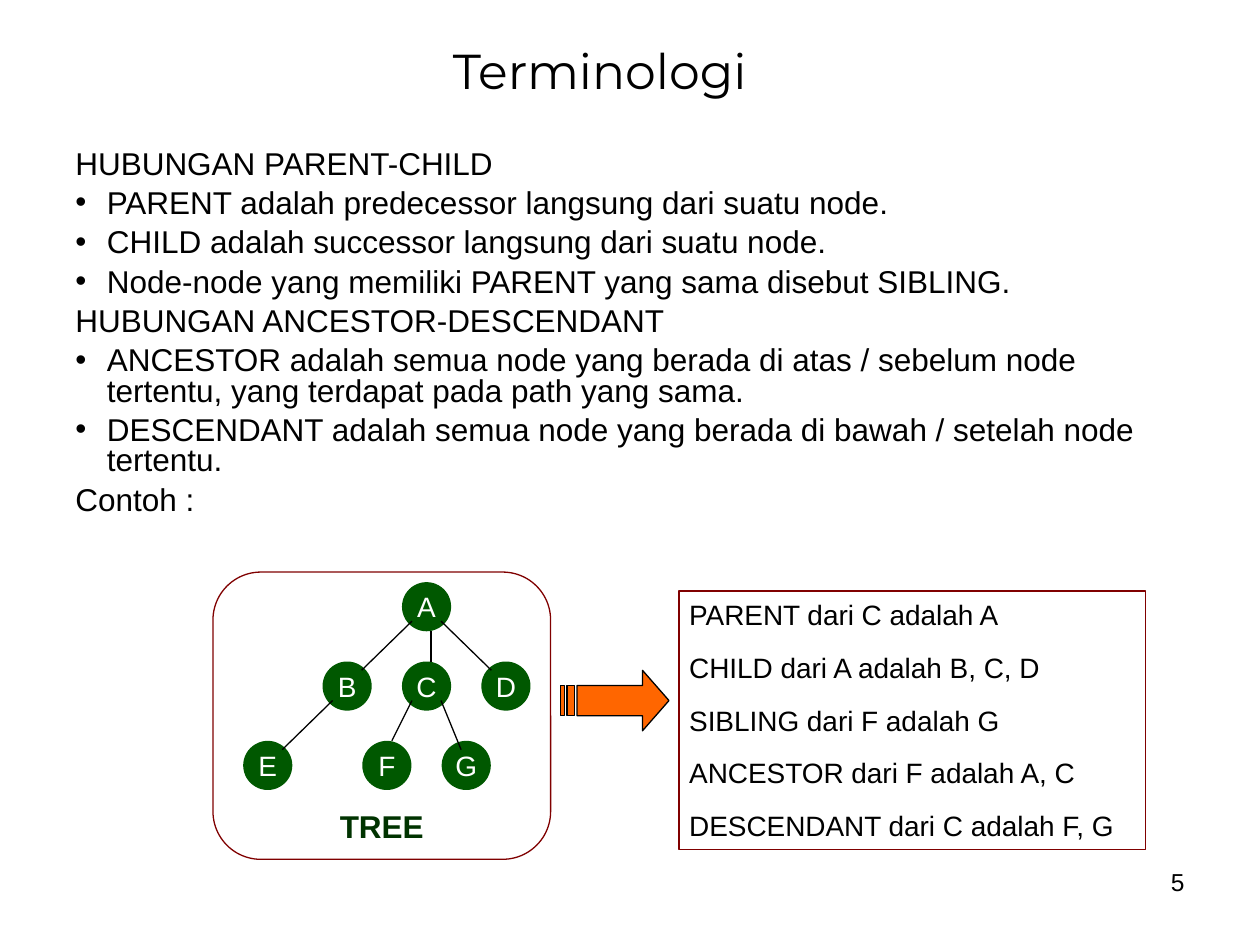
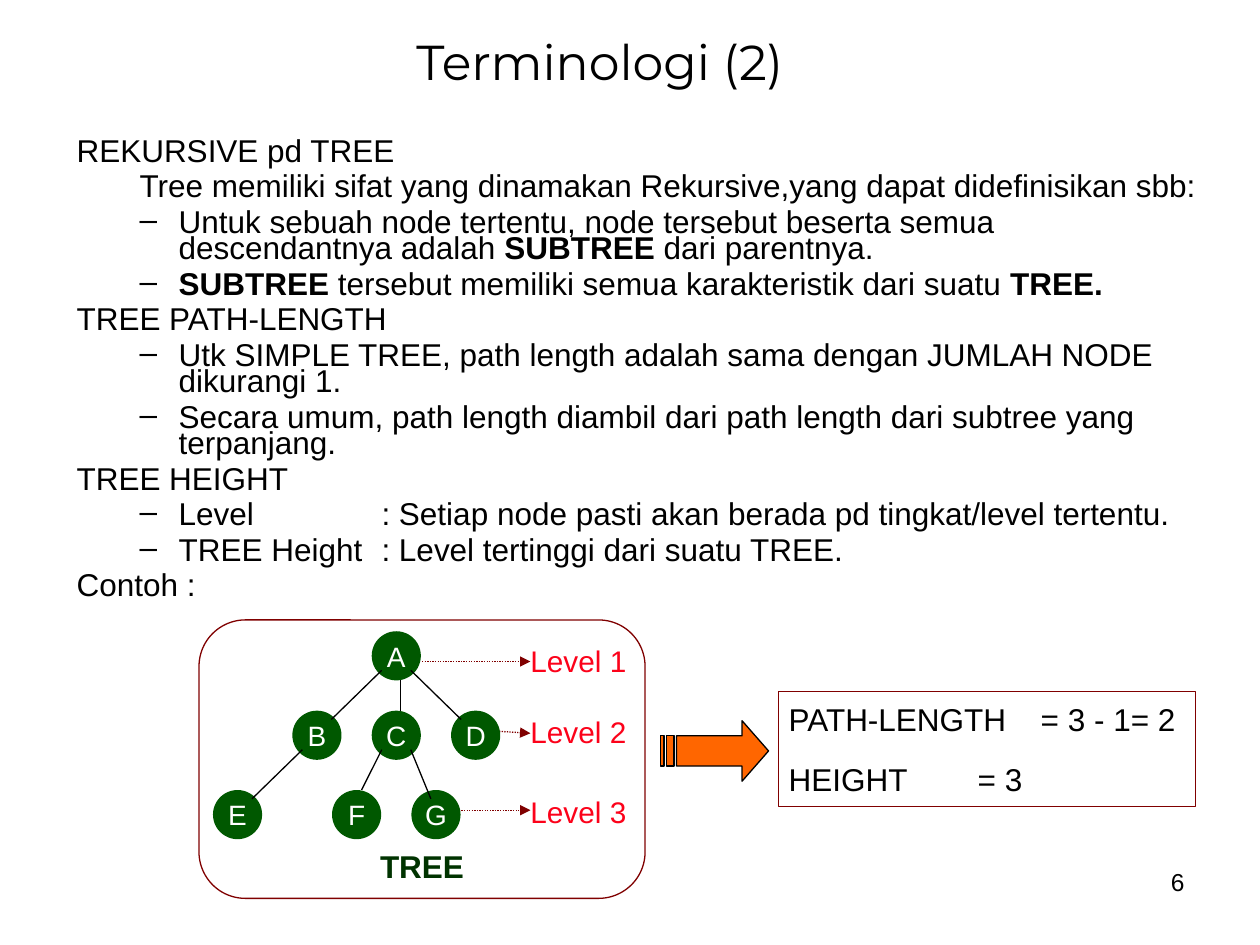
from dataclasses import dataclass
from lxml.etree import SubElement
from pptx import Presentation
from pptx.dml.color import RGBColor
from pptx.enum.dml import MSO_LINE
from pptx.enum.shapes import MSO_CONNECTOR, MSO_SHAPE
from pptx.enum.text import MSO_ANCHOR, PP_ALIGN
from pptx.oxml.ns import qn
from pptx.util import Emu, Inches, Pt


@dataclass(frozen=True)
class Theme:
    ink: str = "000000"
    white: str = "FFFFFF"
    node: str = "005800"
    tree: str = "003300"
    frame: str = "800000"
    arrow: str = "FF6600"
    level: str = "FC021A"
    font: str = "Arial"
    head: str = "Montserrat"
    title: int = 28
    body: int = 18
    label: int = 17
    small: int = 16
    page: int = 14
    rule: float = 0.75


look = Theme()
deck = Presentation()
deck.slide_width, deck.slide_height = Inches(10), Inches(7.5)
CELL = deck.slide_width / 100  # grid of 100 columns by 75 rows


def write(shape, lines, size=look.body, color=look.ink, font=look.font, bold=False,
          align=PP_ALIGN.LEFT, anchor=MSO_ANCHOR.MIDDLE, pad=(1, 0.5), wrap=True,
          lead=None, gap=0, kinds=None):
    """Fill a shape with lines; *stars* set bold, (kind, text) picks an indent."""
    frame = shape.text_frame
    frame.word_wrap, frame.vertical_anchor = wrap, anchor
    frame.margin_left = frame.margin_right = Emu(int(pad[0] * CELL))
    frame.margin_top = frame.margin_bottom = Emu(int(pad[1] * CELL))
    for i, line in enumerate(lines):
        para = frame.paragraphs[0] if i == 0 else frame.add_paragraph()
        para.alignment = align
        para.space_before = Pt(gap if i else 0)
        if lead:
            para.line_spacing = lead
        text = line
        if kinds:
            kind, text = line
            mark, left, hang, stop = kinds[kind]
            props = para._p.get_or_add_pPr()
            props.set("marL", str(int(left * CELL)))
            props.set("indent", str(int(-hang * CELL)))
            if mark:
                SubElement(props, qn("a:buFont"), typeface=look.font)
                SubElement(props, qn("a:buChar"), char=mark)
            if stop:
                tabs = SubElement(props, qn("a:tabLst"))
                SubElement(tabs, qn("a:tab"), pos=str(int(stop * CELL)), algn="l")
        for j, part in enumerate(text.split("*")):
            if part:
                run = para.add_run()
                run.text = part
                run.font.name, run.font.size = font, Pt(size)
                run.font.bold = bold or j % 2 == 1
                run.font.color.rgb = RGBColor.from_string(color)


def link(shapes, start, end, color=look.ink, dash=None, tip=False):
    ends = [int(v * CELL) for v in (*start, *end)]
    line = shapes.add_connector(MSO_CONNECTOR.STRAIGHT, *ends)
    line.line.color.rgb = RGBColor.from_string(color)
    line.line.width = Pt(look.rule)
    if dash:
        line.line.dash_style = dash
    if tip:
        SubElement(line.line._get_or_add_ln(), qn("a:tailEnd"), type="triangle")
    SubElement(line._element.spPr, qn("a:effectLst"))


# Tree: node column and row in steps; edge start and reach in cells
STEP, BALL = 6.3, 3.9
NODES = {"A": (0, 0), "B": (-1, 1), "C": (0, 1), "D": (1, 1),
         "E": (-2, 2), "F": (-0.5, 2), "G": (0.5, 2)}
EDGES = [("A", 0.8, 3.1, -4, 3.9), ("A", 2.3, 3.9, 0, 2.4), ("A", 3.1, 3.1, 4, 3.9),
         ("B", 0.8, 3.1, -4, 3.9), ("C", 0.8, 3.1, -1.6, 3.2), ("C", 3.1, 3.1, 1.6, 3.9)]
ARROW = [[(6.5, 0), (6.5, 1.2), (1.3, 1.2), (1.3, 3.6), (6.5, 3.6), (6.5, 4.8), (8.6, 2.4)],
         [(0.5, 1.2), (0.5, 3.6), (1.1, 3.6), (1.1, 1.2)],
         [(0, 1.2), (0, 3.6), (0.3, 3.6), (0.3, 1.2)]]

# Each kind: bullet, left indent, hang, tab stop
PAGES = [
    dict(
        num="5", title="Terminologi", top=2.8,
        area=(5, 11.5, 90.7, 32.3), lead=0.8,
        kinds={"head": (None, 2.5, 2.5, None), "item": ("•", 2.5, 2.5, None)},
        body=[
            ("head", "HUBUNGAN PARENT-CHILD"),
            ("item", "PARENT adalah predecessor langsung dari suatu node."),
            ("item", "CHILD adalah successor langsung dari suatu node."),
            ("item", "Node-node yang memiliki PARENT yang sama disebut SIBLING."),
            ("head", "HUBUNGAN ANCESTOR-DESCENDANT"),
            ("item", "ANCESTOR adalah semua node yang berada di atas / sebelum node "
                     "tertentu, yang terdapat pada path yang sama."),
            ("item", "DESCENDANT adalah semua node yang berada di bawah / setelah node "
                     "tertentu."),
            ("head", "Contoh :"),
        ],
        root=(31.9, 46.2), frame=(16.9, 45.4, 26.8, 22.8), arrow=(44.5, 53.2),
        box=(53.9, 46.9, 37, 20.5), size=look.small, gap=10.9,
        facts=["PARENT dari C adalah A", "CHILD dari A adalah B, C, D",
               "SIBLING dari F adalah G", "ANCESTOR dari F adalah A, C",
               "DESCENDANT dari C adalah F, G"],
        levels=[],
    ),
    dict(
        num="6", title="Terminologi (2)", top=2.1,
        area=(5.1, 10.7, 91.3, 40.2), lead=0.7,
        kinds={"head": (None, 3.8, 3.8, None), "text": (None, 8.1, 3.1, None),
               "item": ("–", 8.1, 3.1, None), "term": ("–", 8.1, 3.1, 24.2)},
        body=[
            ("head", "REKURSIVE pd TREE"),
            ("text", "Tree memiliki sifat yang dinamakan Rekursive,yang dapat "
                     "didefinisikan sbb:"),
            ("item", "Untuk sebuah node tertentu, node tersebut beserta semua "
                     "descendantnya adalah *SUBTREE* dari parentnya."),
            ("item", "*SUBTREE* tersebut memiliki semua karakteristik dari suatu *TREE.*"),
            ("head", "TREE PATH-LENGTH"),
            ("item", "Utk SIMPLE TREE, path length adalah sama dengan JUMLAH NODE "
                     "dikurangi 1."),
            ("item", "Secara umum, path length diambil dari path length dari subtree "
                     "yang terpanjang."),
            ("head", "TREE HEIGHT"),
            ("term", "Level\t: Setiap node pasti akan berada pd tingkat/level tertentu."),
            ("term", "TREE Height\t: Level tertinggi dari suatu TREE."),
            ("head", "Contoh :"),
        ],
        root=(29.5, 50.1), frame=(15.8, 49.2, 35.4, 22.1), arrow=(52.4, 57.2),
        box=(61.8, 54.9, 33.1, 9.1), size=look.body, gap=12.4,
        facts=["PATH-LENGTH\t= 3 - 1= 2", "HEIGHT\t\t= 3"],
        # arrow start, arrow end height, label top
        levels=[((33.5, 52.5), 52.5, 51), ((39, 58), 58.2, 56.7),
                ((35.8, 64.3), 64.3, 63)],
    ),
]

for page in PAGES:
    shapes = deck.slides.add_slide(deck.slide_layouts[6]).shapes

    texts = [
        ((71.7, 68.3, 23.3, 5.2), [page["num"]],
         dict(size=look.page, align=PP_ALIGN.RIGHT, anchor=MSO_ANCHOR.TOP)),
        (page["area"], page["body"],
         dict(anchor=MSO_ANCHOR.TOP, lead=page["lead"], gap=5.2, kinds=page["kinds"])),
        ((5.1, page["top"], 85, 5.5), [page["title"]],
         dict(size=look.title, font=look.head, align=PP_ALIGN.CENTER)),
    ]
    for n, (start, end, top) in enumerate(page["levels"], 1):
        link(shapes, start, (42.1, end), look.frame, MSO_LINE.ROUND_DOT, True)
        texts.append(((42.1, top, 8.7, 2.8), [f"Level {n}"],
                      dict(size=look.label, color=look.level, pad=(0, 0))))
    for place, lines, form in texts:
        write(shapes.add_textbox(*[int(v * CELL) for v in place]), lines, **form)

    left, top = page["root"]
    spots = {name: (left + col * STEP, top + row * STEP)
             for name, (col, row) in NODES.items()}
    solids = [
        (MSO_SHAPE.OVAL, (*spot, BALL, BALL), look.node, [name],
         dict(size=look.small, color=look.white, align=PP_ALIGN.CENTER, wrap=False))
        for name, spot in spots.items()
    ]
    solids += [
        (MSO_SHAPE.RECTANGLE, page["box"], None, page["facts"],
         dict(size=page["size"], gap=page["gap"], pad=(0.8, 0.8))),
        (MSO_SHAPE.ROUNDED_RECTANGLE, page["frame"], None, ["TREE"],
         dict(color=look.tree, bold=True, align=PP_ALIGN.CENTER,
              anchor=MSO_ANCHOR.BOTTOM, pad=(0, 0), wrap=False)),
    ]
    for kind, place, fill, lines, form in solids:
        shape = shapes.add_shape(kind, *[int(v * CELL) for v in place])
        shape.shadow.inherit = False
        if fill:
            shape.fill.solid()
            shape.fill.fore_color.rgb = RGBColor.from_string(fill)
            shape.line.fill.background()
        else:
            shape.fill.background()
            shape.line.color.rgb = RGBColor.from_string(look.frame)
            shape.line.width = Pt(look.rule)
        write(shape, lines, **form)

    for name, dx, dy, run, drop in EDGES:
        x, y = spots[name][0] + dx, spots[name][1] + dy
        link(shapes, (x, y), (x + run, y + drop))

    x, y = page["arrow"]
    parts = [[((x + dx) * CELL, (y + dy) * CELL) for dx, dy in part] for part in ARROW]
    path = shapes.build_freeform(*parts[0][0])
    for i, part in enumerate(parts):
        if i:
            path.move_to(*part[0])
        path.add_line_segments(part[1:], close=True)
    arrow = path.convert_to_shape()
    arrow.shadow.inherit = False
    arrow.fill.solid()
    arrow.fill.fore_color.rgb = RGBColor.from_string(look.arrow)
    arrow.line.color.rgb = RGBColor.from_string(look.ink)
    arrow.line.width = Pt(look.rule)

deck.save("out.pptx")
